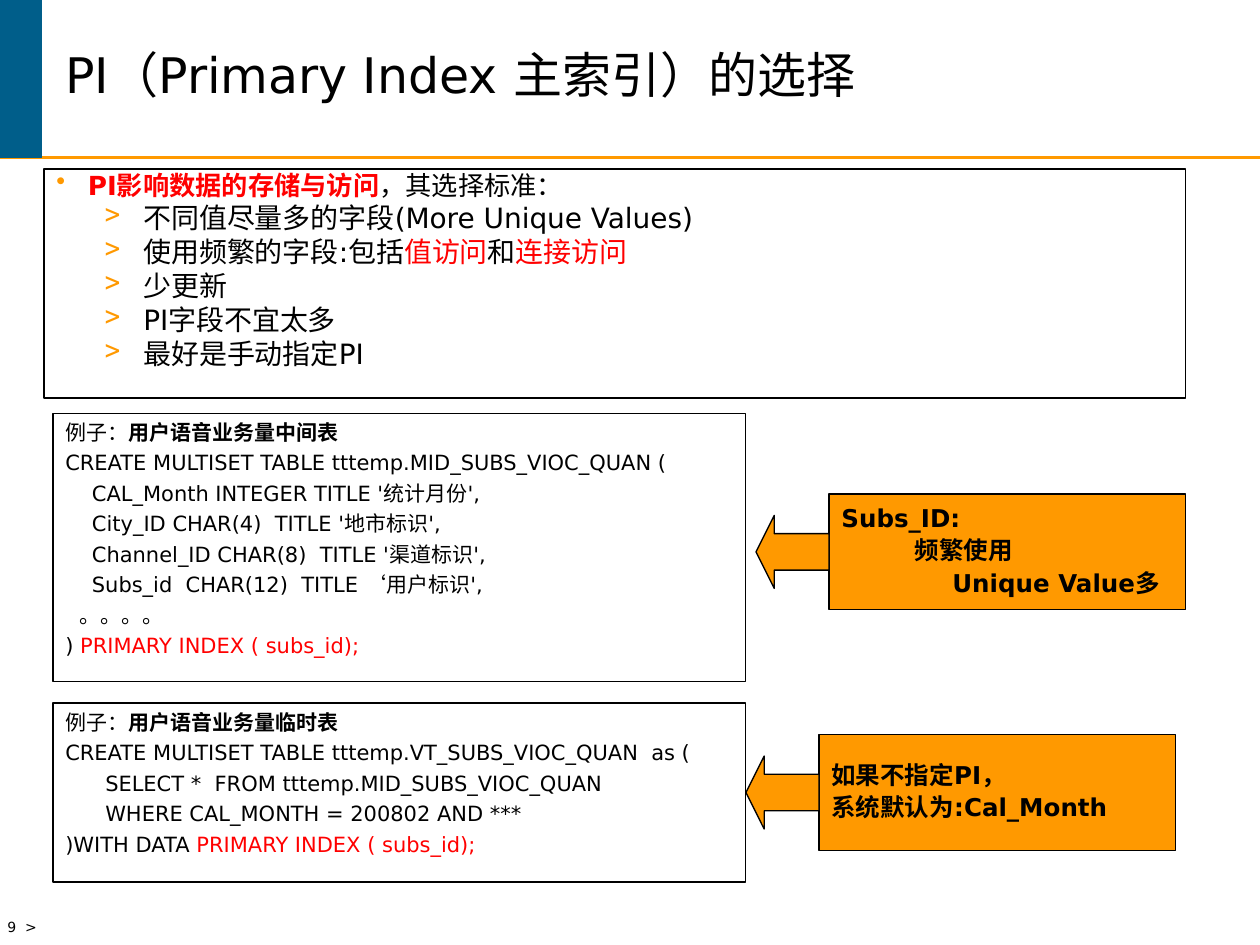
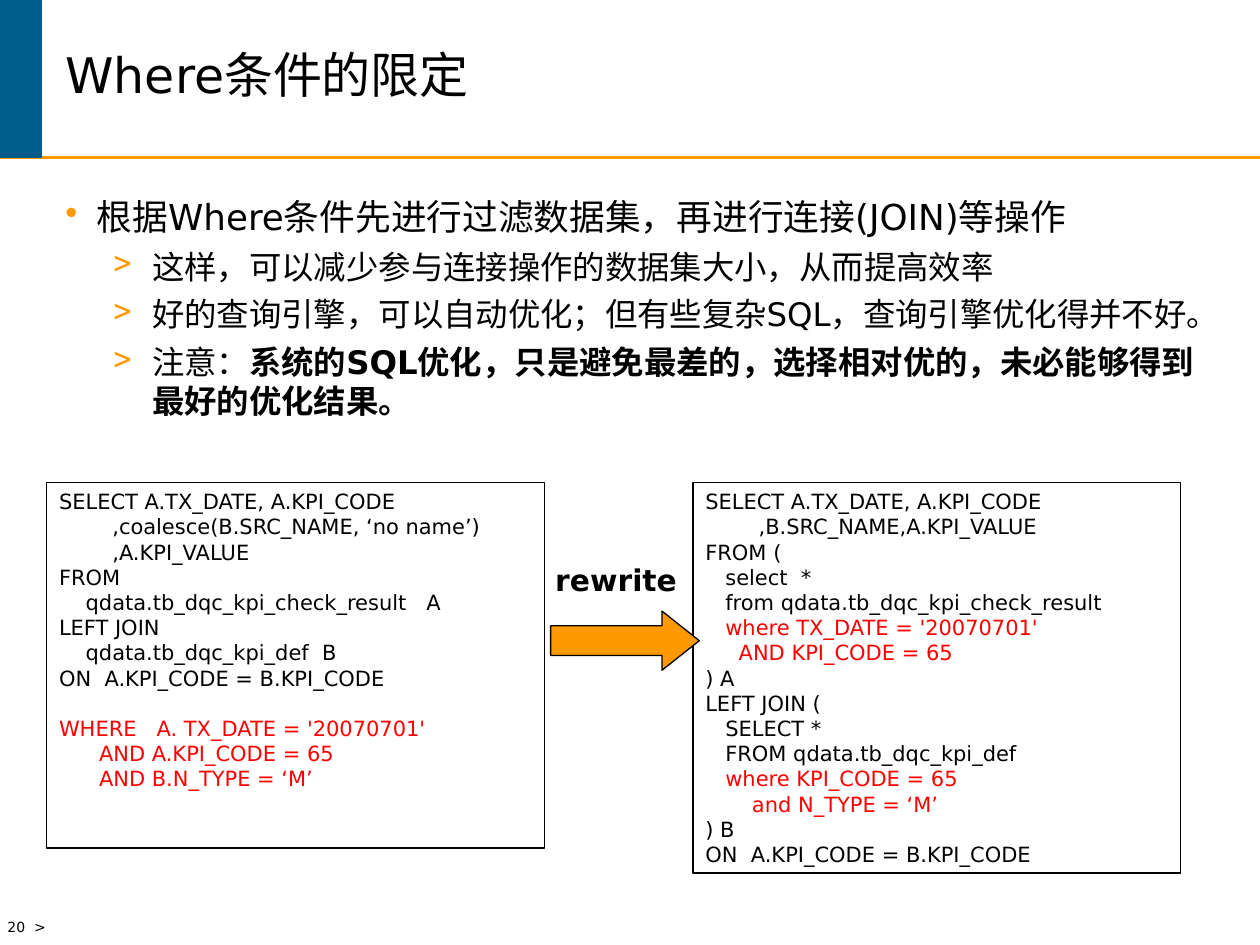
import dataclasses

import lxml.etree
import pptx
import pptx.dml.color
import pptx.enum.shapes
import pptx.enum.text
import pptx.oxml.ns
import pptx.util

Inches = pptx.util.Inches
Pt = pptx.util.Pt
ShapeType = pptx.enum.shapes.MSO_SHAPE
Anchor = pptx.enum.text.MSO_ANCHOR
Align = pptx.enum.text.PP_ALIGN
qn = pptx.oxml.ns.qn


@dataclasses.dataclass(frozen=True)
class Theme:
    font: str = "DejaVu Sans"
    ink: str = "000000"
    accent: str = "FF9900"
    band: str = "005E8A"
    alert: str = "FF0000"
    title_size: float = 28
    code_size: float = 12
    callout_size: float = 14
    label_size: float = 17
    footer_size: float = 8


THEME = Theme()
CODE_LINE = 14.4  # height of one line of code, in points
BULLETS = (("•", 0.25, 0.25), (">", 0.69, 0.31))  # mark, margin, hang


def rgb(value):
    return pptx.dml.color.RGBColor.from_string(value)


def red(text, **style):
    """A run in the alert colour."""
    return text, {"color": THEME.alert, **style}


def bold(text):
    return text, {"bold": True}


def line(*runs, **style):
    """A paragraph of several runs, or one with its own format."""
    return runs, style


def set_bullet(paragraph, level):
    mark, margin, hang = BULLETS[level]
    properties = paragraph._p.get_or_add_pPr()
    properties.set("marL", str(Inches(margin)))
    properties.set("indent", str(-Inches(hang)))
    color = lxml.etree.SubElement(properties, qn("a:buClr"))
    lxml.etree.SubElement(color, qn("a:srgbClr")).set("val", THEME.accent)
    lxml.etree.SubElement(properties, qn("a:buChar")).set("char", mark)


def write(paragraph, runs, size=12, color=THEME.ink, bold=False, align=Align.LEFT,
          spacing=1.0, before=0, level=None, indent=0):
    """Fill a paragraph; a run is a string or a (string, format) pair."""
    paragraph.alignment = align
    paragraph.line_spacing = spacing
    paragraph.space_before = Pt(before)
    if level is not None:
        set_bullet(paragraph, level)
    elif indent:
        paragraph._p.get_or_add_pPr().set("marL", str(Inches(indent)))
    for item in runs:
        text, style = (item, {}) if isinstance(item, str) else item
        run = paragraph.add_run()
        run.text = text
        run.font.name = THEME.font
        run.font.size = Pt(size)
        run.font.bold = style.get("bold", bold)
        run.font.color.rgb = rgb(style.get("color", color))


class Deck:
    def __init__(self):
        self.presentation = pptx.Presentation()
        self.presentation.slide_width = Inches(10)
        self.presentation.slide_height = Inches(7.5)
        self.slide = None

    def text(self, shape, lines, anchor=Anchor.TOP, wrap=True, **style):
        frame = shape.text_frame
        frame.word_wrap = wrap
        frame.auto_size = pptx.enum.text.MSO_AUTO_SIZE.NONE
        frame.vertical_anchor = anchor
        for number, item in enumerate(lines):
            runs, own = ((item,), {}) if isinstance(item, str) else item
            options = {**style, **own}
            if number == 0:
                options["before"] = 0
            paragraph = frame.add_paragraph() if number else frame.paragraphs[0]
            write(paragraph, runs, **options)

    def shape(self, kind, left, top, width, height, fill=None, outline=THEME.ink, weight=0.75):
        shape = self.slide.shapes.add_shape(
            kind, Inches(left), Inches(top), Inches(width), Inches(height))
        shape.shadow.inherit = False
        if fill:
            shape.fill.solid()
            shape.fill.fore_color.rgb = rgb(fill)
        else:
            shape.fill.background()
        shape.line.color.rgb = rgb(outline)
        shape.line.width = Pt(weight)
        return shape

    def text_box(self, left, top, width, height, lines, **style):
        box = self.slide.shapes.add_textbox(
            Inches(left), Inches(top), Inches(width), Inches(height))
        self.text(box, lines, **style)

    def panel(self, left, top, width, height, lines, **style):
        box = self.shape(ShapeType.RECTANGLE, left, top, width, height)
        self.text(box, lines, **style)

    def code(self, left, top, width, height, lines, **style):
        self.panel(left, top, width, height, lines, size=THEME.code_size, **style)

    def arrow(self, kind, left, top, width, height, head):
        arrow = self.shape(kind, left, top, width, height, fill=THEME.accent)
        arrow.adjustments[0] = 0.5
        arrow.adjustments[1] = head

    def callout(self, left, top, lines):
        """Orange note with an arrow out of the middle of its left side."""
        width, height, arrow_size = 2.83, 0.92, 0.58
        box = self.shape(ShapeType.RECTANGLE, left, top, width, height, fill=THEME.accent)
        self.text(box, lines, anchor=Anchor.MIDDLE, size=THEME.callout_size,
                  bold=True, spacing=0.9, before=3.5)
        self.arrow(ShapeType.LEFT_ARROW, left - arrow_size,
                   top + (height - arrow_size) / 2, arrow_size, arrow_size, 0.25)

    def rule(self, top):
        connector = self.slide.shapes.add_connector(
            pptx.enum.shapes.MSO_CONNECTOR.STRAIGHT,
            Inches(0), Inches(top), Inches(10), Inches(top))
        connector.line.color.rgb = rgb(THEME.accent)
        connector.line.width = Pt(1.5)
        lxml.etree.SubElement(connector._element.spPr, qn("a:effectLst"))

    def new_slide(self, title, number):
        """Title-only slide with the shared rule, band and footer."""
        self.slide = self.presentation.slides.add_slide(self.presentation.slide_layouts[5])
        self.rule(1.25)
        self.shape(ShapeType.RECTANGLE, 0, 0, 0.33, 1.25,
                   fill=THEME.band, outline=THEME.band, weight=1)
        self.text_box(-0.04, 7.24, 1.38, 0.26, [f"{number}  >"],
                      wrap=False, size=THEME.footer_size)
        holder = self.slide.shapes.title
        holder.left, holder.top = Inches(0.42), Inches(0)
        holder.width, holder.height = Inches(9.33), Inches(1.25)
        self.text(holder, [title], anchor=Anchor.MIDDLE, size=THEME.title_size, spacing=0.85)


def primary_index_slide(deck):
    deck.new_slide("PI（Primary Index 主索引）的选择", 9)

    # Selection criteria
    deck.panel(0.35, 1.34, 9.06, 1.82, [
        line(red("PI影响数据的存储与访问", bold=True), "，其选择标准：", level=0, size=15),
        "不同值尽量多的字段(More Unique Values)",
        line("使用频繁的字段:包括", red("值访问"), "和", red("连接访问")),
        "少更新",
        "PI字段不宜太多",
        "最好是手动指定PI",
    ], size=16, level=1, spacing=0.8, before=4)

    # Table definitions
    deck.code(0.42, 3.28, 5.5, 2.13, [
        line("例子：", bold("用户语音业务量中间表")),
        "CREATE MULTISET TABLE tttemp.MID_SUBS_VIOC_QUAN (",
        "    CAL_Month INTEGER TITLE '统计月份',",
        "    City_ID CHAR(4)  TITLE '地市标识',",
        "    Channel_ID CHAR(8)  TITLE '渠道标识',",
        "    Subs_id  CHAR(12)  TITLE ‘用户标识',",
        "   。。。。",
        line(") ", red("PRIMARY INDEX ( subs_id);")),
    ], before=3)
    deck.code(0.42, 5.58, 5.5, 1.42, [
        line("例子：", bold("用户语音业务量临时表")),
        "CREATE MULTISET TABLE tttemp.VT_SUBS_VIOC_QUAN  as (",
        "      SELECT *  FROM tttemp.MID_SUBS_VIOC_QUAN",
        "      WHERE CAL_MONTH = 200802 AND ***",
        line(")WITH DATA ", red("PRIMARY INDEX ( subs_id);")),
    ], before=3)

    # Notes on the index choice
    deck.callout(6.58, 3.92, [
        "Subs_ID:",
        line("频繁使用", indent=0.58),
        line("Unique Value多", indent=0.88),
    ])
    deck.callout(6.5, 5.83, ["如果不指定PI，", "系统默认为:Cal_Month"])


def where_slide(deck):
    deck.new_slide("Where条件的限定", 20)

    # Advice
    deck.text_box(0.42, 1.5, 9.33, 2.25, [
        line("根据Where条件先进行过滤数据集，再进行连接(JOIN)等操作", level=0, size=20.4),
        "这样，可以减少参与连接操作的数据集大小，从而提高效率",
        "好的查询引擎，可以自动优化；但有些复杂SQL，查询引擎优化得并不好。",
        line("注意：", bold("系统的SQL优化，只是避免最差的，选择相对优的，未必能够得到最好的优化结果。")),
    ], size=18.5, level=1, before=5)

    # Query after and before the rewrite
    deck.code(5.5, 3.83, 3.87, 3.1, [
        "SELECT A.TX_DATE, A.KPI_CODE",
        "        ,B.SRC_NAME,A.KPI_VALUE",
        "FROM (",
        "   select  *",
        "   from qdata.tb_dqc_kpi_check_result",
        line(red("   where TX_DATE = '20070701'")),
        line(red("     AND KPI_CODE = 65")),
        ") A",
        "LEFT JOIN (",
        "   SELECT *",
        "   FROM qdata.tb_dqc_kpi_def",
        line(red("   where KPI_CODE = 65")),
        line(red("       and N_TYPE = ‘M’")),
        ") B",
        "ON  A.KPI_CODE = B.KPI_CODE",
    ])
    deck.code(0.37, 3.83, 3.95, 2.9, [
        "SELECT A.TX_DATE, A.KPI_CODE",
        "        ,coalesce(B.SRC_NAME, ‘no name’)",
        "        ,A.KPI_VALUE",
        "FROM",
        "    qdata.tb_dqc_kpi_check_result   A",
        "LEFT JOIN",
        "    qdata.tb_dqc_kpi_def  B",
        "ON  A.KPI_CODE = B.KPI_CODE",
        line(red("WHERE   A. TX_DATE = '20070701'"), before=CODE_LINE),
        line(red("      AND A.KPI_CODE = 65")),
        line(red("      AND B.N_TYPE = ‘M’")),
    ])

    # Rewrite arrow
    deck.arrow(ShapeType.RIGHT_ARROW, 4.37, 4.85, 1.18, 0.47, 0.63)
    deck.text_box(3.98, 4.41, 1.82, 0.39, ["rewrite"],
                  size=THEME.label_size, bold=True, align=Align.CENTER)


def main():
    deck = Deck()
    primary_index_slide(deck)
    where_slide(deck)
    deck.presentation.save("out.pptx")


if __name__ == "__main__":
    main()
